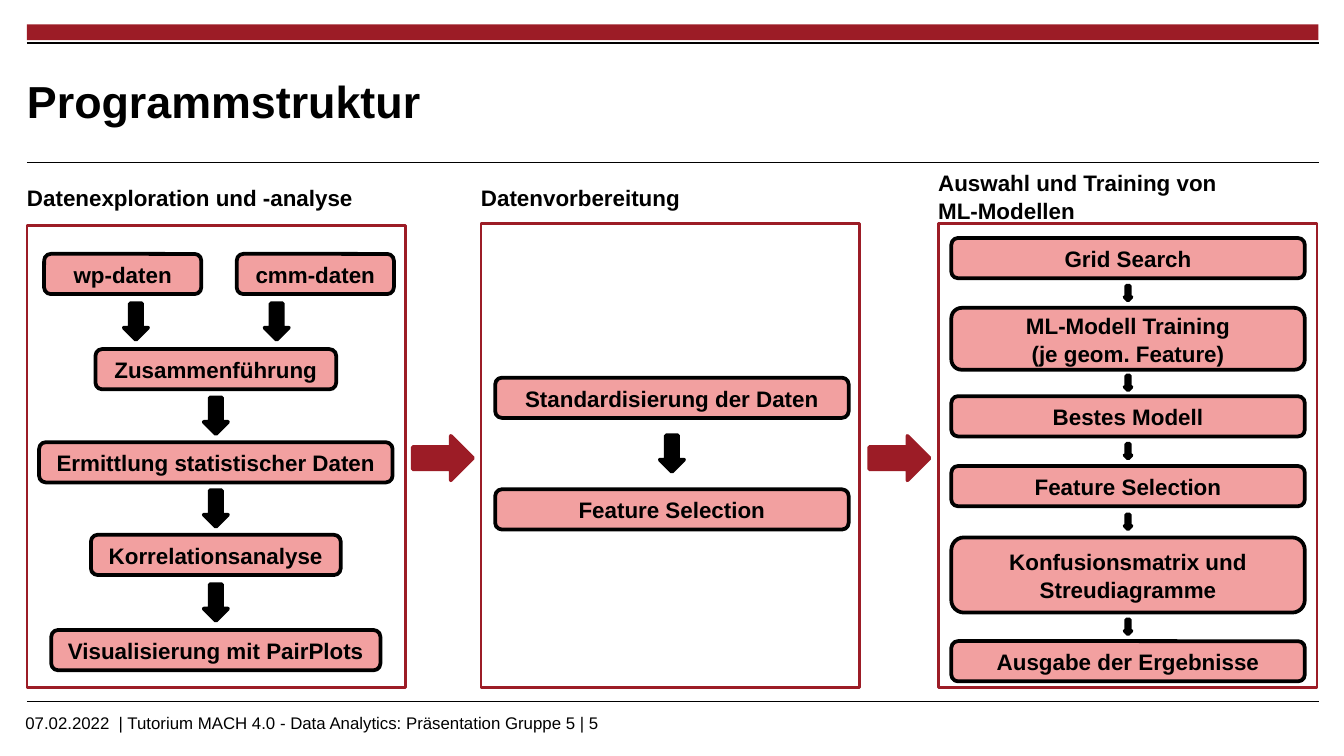
from dataclasses import dataclass
from itertools import pairwise

from lxml.etree import SubElement
from pptx import Presentation
from pptx.dml.color import RGBColor
from pptx.enum.shapes import MSO_CONNECTOR, MSO_SHAPE
from pptx.enum.text import MSO_ANCHOR, MSO_AUTO_SIZE, PP_ALIGN
from pptx.oxml.ns import qn
from pptx.util import Cm, Pt


@dataclass(frozen=True)
class Theme:
    font: str = "Arial"
    black: RGBColor = RGBColor(0x00, 0x00, 0x00)
    white: RGBColor = RGBColor(0xFF, 0xFF, 0xFF)
    red: RGBColor = RGBColor(0x9C, 0x1C, 0x26)
    rose: RGBColor = RGBColor(0xF2, 0xA0, 0xA0)
    title_size: Pt = Pt(24)
    text_size: Pt = Pt(12)
    footer_size: Pt = Pt(9)
    thin: Pt = Pt(0.6)
    rule: Pt = Pt(1.2)
    frame: Pt = Pt(1.5)
    outline: Pt = Pt(2)


def apply_format(target, values):
    for name, value in values.items():
        setattr(target, name, value)


def place(shape, left, top, width, height):
    apply_format(shape, {"left": Cm(left), "top": Cm(top), "width": Cm(width), "height": Cm(height)})


class SlideBuilder:
    def __init__(self, slide, theme):
        self.slide = slide
        self.theme = theme

    def set_text(self, shape, text, size, bold=True, frame_format=None, paragraph_format=None):
        text_frame = shape.text_frame
        text_frame.text = text
        apply_format(text_frame, {"word_wrap": True, "auto_size": MSO_AUTO_SIZE.NONE, **(frame_format or {})})
        for paragraph in text_frame.paragraphs:
            apply_format(paragraph, paragraph_format or {})
            for run in paragraph.runs:
                apply_format(run.font, {"name": self.theme.font, "size": size, "bold": bold})
                run.font.color.rgb = self.theme.black

    def title(self, text, *bounds):
        title = self.slide.shapes.title
        place(title, *bounds)
        margins = {f"margin_{side}": 0 for side in ("left", "top", "right", "bottom")}
        self.set_text(title, text, self.theme.title_size,
                      frame_format={**margins, "vertical_anchor": MSO_ANCHOR.MIDDLE},
                      paragraph_format={"alignment": PP_ALIGN.LEFT})

    def heading(self, placeholder, text, *bounds):
        place(placeholder, *bounds)
        self.set_text(placeholder, text, self.theme.text_size,
                      frame_format={"margin_left": 0, "margin_right": 0, "vertical_anchor": MSO_ANCHOR.TOP},
                      paragraph_format={"space_before": Pt(2), "space_after": Pt(2.2), "line_spacing": 1.05})
        for paragraph in placeholder.text_frame.paragraphs:
            properties = paragraph._p.get_or_add_pPr()
            properties.set("marL", "0")
            properties.set("indent", "0")
            SubElement(properties, qn("a:buNone"))

    def text(self, text, *bounds):
        shape = self.slide.shapes.add_textbox(*map(Cm, bounds))
        self.set_text(shape, text, self.theme.footer_size, bold=False)

    def shape(self, kind, bounds, fill, line=None, width=None):
        shape = self.slide.shapes.add_shape(kind, *map(Cm, bounds))
        shape.shadow.inherit = False
        shape.fill.solid()
        shape.fill.fore_color.rgb = fill
        if line is None:
            shape.line.fill.background()
        else:
            shape.line.color.rgb = line
            shape.line.width = width
        return shape

    def rule(self, left, right, top, width):
        line = self.slide.shapes.add_connector(
            MSO_CONNECTOR.STRAIGHT, Cm(left), Cm(top), Cm(right), Cm(top))
        line.line.color.rgb = self.theme.black
        line.line.width = width
        SubElement(line._element.spPr, qn("a:effectLst"))

    def step(self, text, center, top, width, height):
        theme = self.theme
        box = self.shape(MSO_SHAPE.ROUNDED_RECTANGLE, (center - width / 2, top, width, height),
                         theme.rose, theme.black, theme.outline)
        self.set_text(box, text, theme.text_size,
                      frame_format={"margin_left": Cm(0.13), "margin_right": Cm(0.13),
                                    "vertical_anchor": MSO_ANCHOR.MIDDLE},
                      paragraph_format={"alignment": PP_ALIGN.CENTER, "line_spacing": 1.05})

    def down_arrow(self, center, middle, width, height):
        self.shape(MSO_SHAPE.DOWN_ARROW, (center - width / 2, middle - height / 2, width, height),
                   self.theme.black, self.theme.black, self.theme.outline)

    def flow(self, steps, center, arrow_size):
        for text, top, width, height in steps:
            self.step(text, center, top, width, height)
        for (_, top, _, height), (_, next_top, _, _) in pairwise(steps):
            self.down_arrow(center, (top + height + next_top) / 2, *arrow_size)


LEFT, RIGHT = 0.51, 24.92
FRAME_WIDTH, FRAME_BOTTOM = 7.16, 13.0
STEP_WIDTH, STEP_HEIGHT = 6.68, 0.76
LARGE_ARROW, SMALL_ARROW = (0.46, 0.69), (0.13, 0.28)

COLUMNS = [
    ("Datenexploration und -analyse", 0.51, 3.33, 7.16, 4.27),
    ("Datenvorbereitung", 9.09, 3.33, 7.16, 4.22),
    ("Auswahl und Training von \vML-Modellen", 17.73, 3.05, 7.6, 4.22),
]
SOURCES = [("wp-daten", 2.32, 2.57), ("cmm-daten", 5.96, 5.23)]
SOURCE_TOP, SOURCE_WIDTH = 4.8, 2.97
EXPLORATION = [
    ("Zusammenführung", 6.6, 4.55, STEP_HEIGHT),
    ("Ermittlung statistischer Daten", 8.36, STEP_WIDTH, STEP_HEIGHT),
    ("Korrelationsanalyse", 10.11, 4.72, STEP_HEIGHT),
    ("Visualisierung mit PairPlots", 11.91, 6.22, STEP_HEIGHT),
]
PREPARATION = [
    ("Standardisierung der Daten", 7.14, STEP_WIDTH, STEP_HEIGHT),
    ("Feature Selection", 9.25, STEP_WIDTH, STEP_HEIGHT),
]
TRAINING = [
    ("Grid Search", 4.5, STEP_WIDTH, STEP_HEIGHT),
    ("ML-Modell Training\n(je geom. Feature)", 5.82, STEP_WIDTH, 1.17),
    ("Bestes Modell", 7.49, STEP_WIDTH, STEP_HEIGHT),
    ("Feature Selection", 8.81, STEP_WIDTH, STEP_HEIGHT),
    ("Konfusionsmatrix und Streudiagramme", 10.16, STEP_WIDTH, 1.42),
    ("Ausgabe der Ergebnisse", 12.12, STEP_WIDTH, STEP_HEIGHT),
]


def main():
    theme = Theme()
    presentation = Presentation()
    apply_format(presentation, {"slide_width": Cm(25.4), "slide_height": Cm(14.29)})
    slide = presentation.slides.add_slide(presentation.slide_layouts.get_by_name("Comparison"))
    builder = SlideBuilder(slide, theme)

    builder.shape(MSO_SHAPE.RECTANGLE, (LEFT, 0.46, RIGHT - LEFT, 0.3), theme.red)
    for top, width in [(0.81, theme.rule), (3.07, theme.thin), (13.26, theme.thin)]:
        builder.rule(LEFT, RIGHT, top, width)
    builder.text("07.02.2022  | Tutorium MACH 4.0 - Data Analytics: Präsentation Gruppe 5 | 5",
                 0.23, 13.34, 20.19, 0.48)
    builder.title("Programmstruktur", LEFT, 1.02, 18.92, 1.75)

    *headings, spare = list(slide.placeholders)[1:]
    spare._element.getparent().remove(spare._element)
    for placeholder, (text, left, top, width, frame_top) in zip(headings, COLUMNS):
        builder.heading(placeholder, text, left, top, width, 0.94)
        builder.shape(MSO_SHAPE.RECTANGLE, (left, frame_top, FRAME_WIDTH, FRAME_BOTTOM - frame_top),
                      theme.white, theme.red, theme.frame)

    source_bottom = SOURCE_TOP + STEP_HEIGHT
    for text, center, arrow_center in SOURCES:
        builder.step(text, center, SOURCE_TOP, SOURCE_WIDTH, STEP_HEIGHT)
        builder.down_arrow(arrow_center, (source_bottom + EXPLORATION[0][1]) / 2, *LARGE_ARROW)
    builder.flow(EXPLORATION, 4.08, LARGE_ARROW)
    builder.flow(PREPARATION, 12.7, LARGE_ARROW)
    builder.flow(TRAINING, 21.32, SMALL_ARROW)

    for left in (7.8, 16.43):
        builder.shape(MSO_SHAPE.RIGHT_ARROW, (left, 8.24, 1.14, 0.84),
                      theme.red, theme.red, theme.outline)

    presentation.save("out.pptx")


if __name__ == "__main__":
    main()
